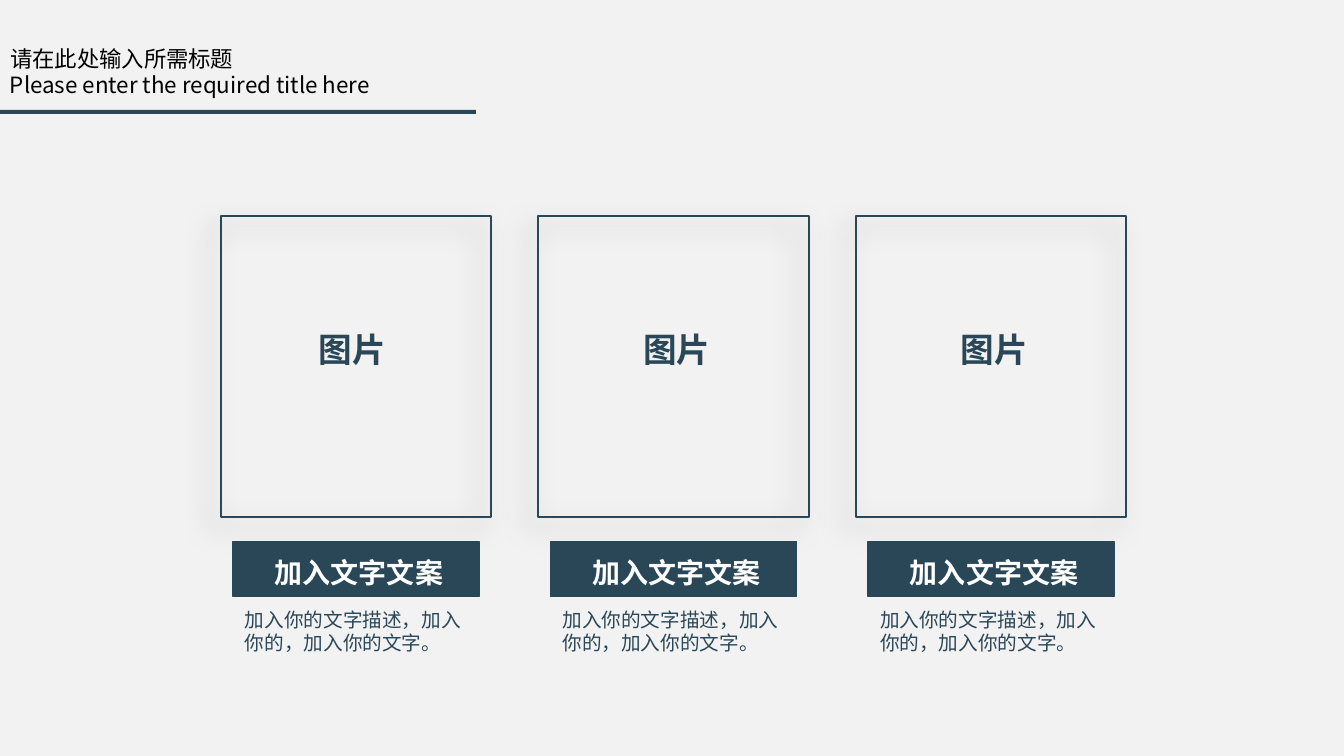
from pptx import Presentation
from pptx.dml.color import RGBColor
from pptx.enum.shapes import MSO_SHAPE
from pptx.enum.text import MSO_ANCHOR, MSO_AUTO_SIZE, PP_ALIGN
from pptx.oxml import parse_xml
from pptx.oxml.ns import nsdecls, qn
from pptx.util import Inches, Pt

RECTANGLE = MSO_SHAPE.RECTANGLE
TOP = MSO_ANCHOR.TOP
NO_FIT = MSO_AUTO_SIZE.NONE
LEFT, CENTER = PP_ALIGN.LEFT, PP_ALIGN.CENTER

# Content
TITLE = "请在此处输入所需标题"
SUBTITLE = "Please enter the required title here"
DESCRIPTION = "加入你的文字描述，加入你的，加入你的文字。"
# Frame label, its offset from the frame, caption, description
CARDS = [
    ("图片", 0.87, "加入文字文案", DESCRIPTION),
    ("图片", 0.94, "加入文字文案", DESCRIPTION),
    ("图片", 0.94, "加入文字文案", DESCRIPTION),
]


class Theme:
    font = "Noto Sans CJK SC"
    background = RGBColor.from_string("F2F2F2")
    navy = RGBColor.from_string("2A4758")
    white = RGBColor.from_string("FFFFFF")
    black = RGBColor.from_string("000000")
    title, label, caption, body = Pt(16), Pt(24), Pt(20), Pt(14)


# Layout in inches
CARD_LEFT, CARD_STEP = 2.19, 3.15

SHADOW = (
    f'<a:effectLst {nsdecls("a")}><a:outerShdw blurRad="{Pt(20)}" '
    f'dist="{Pt(10)}" dir="{136 * 60000}" algn="tr" rotWithShape="0">'
    '<a:srgbClr val="000000"><a:alpha val="34000"/></a:srgbClr>'
    '</a:outerShdw></a:effectLst>'
)


def write(box, text, size, color, bold=False, align=LEFT, inset=0.05):
    frame = box.text_frame
    frame.text = text
    frame.word_wrap = True
    frame.auto_size = NO_FIT
    frame.vertical_anchor = TOP
    frame.margin_left = frame.margin_right = Inches(0.1)
    frame.margin_top = frame.margin_bottom = Inches(inset)
    para = frame.paragraphs[0]
    para.alignment = align
    font = para.font
    font.name, font.size, font.bold = Theme.font, size, bold
    font.color.rgb = color
    # East Asian characters take their own typeface element
    defaults = para._p.pPr.find(qn("a:defRPr"))
    defaults.append(parse_xml(f'<a:ea {nsdecls("a")} typeface="{Theme.font}"/>'))


def add_text(page, place, *args, **options):
    box = page.shapes.add_textbox(*map(Inches, place))
    write(box, *args, **options)


def add_rectangle(page, place, filled=True, line_width=None):
    box = page.shapes.add_shape(RECTANGLE, *map(Inches, place))
    box.shadow.inherit = False
    if filled:
        box.fill.solid()
        box.fill.fore_color.rgb = Theme.navy
    else:
        box.fill.background()
    if line_width:
        box.line.color.rgb = Theme.navy
        box.line.width = Pt(line_width)
    else:
        box.line.fill.background()
    return box


def add_card(page, left, label, label_offset, caption, description):
    frame = add_rectangle(page, (left, 2.14, 2.68, 2.99), False, 1.5)
    properties = frame._element.spPr
    properties.replace(properties.find(qn("a:effectLst")), parse_xml(SHADOW))
    add_rectangle(page, (left + 0.12, 5.37, 2.44, 0.55), line_width=1)
    add_text(page, (left + 0.38, 5.51, 1.98, 0.28), caption, Theme.caption,
             Theme.white, bold=True, align=CENTER, inset=0)
    add_text(page, (left + 0.14, 6.03, 2.35, 0.39), description, Theme.body,
             Theme.navy, inset=0)
    add_text(page, (left + label_offset, 3.21, 2.48, 0.5), label, Theme.label,
             Theme.navy, bold=True)


def main():
    deck = Presentation()
    deck.slide_width, deck.slide_height = Inches(13.33), Inches(7.5)
    page = deck.slides.add_slide(deck.slide_layouts.get_by_name("Title Only"))
    page.background.fill.solid()
    page.background.fill.fore_color.rgb = Theme.background

    # Heading with its rule
    title = page.shapes.title
    title.left, title.top, title.width, title.height = map(
        Inches, (0, 0.4, 3.83, 0.37))
    write(title, TITLE, Theme.title, Theme.black)
    add_text(page, (0, 0.66, 4.33, 0.37), SUBTITLE, Theme.title, Theme.black)
    for half in range(2):
        add_rectangle(page, (half * 2.36, 1.09, 2.36, 0.04))

    # Three picture cards
    for index, card in enumerate(CARDS):
        add_card(page, CARD_LEFT + index * CARD_STEP, *card)

    deck.save("out.pptx")


if __name__ == "__main__":
    main()
